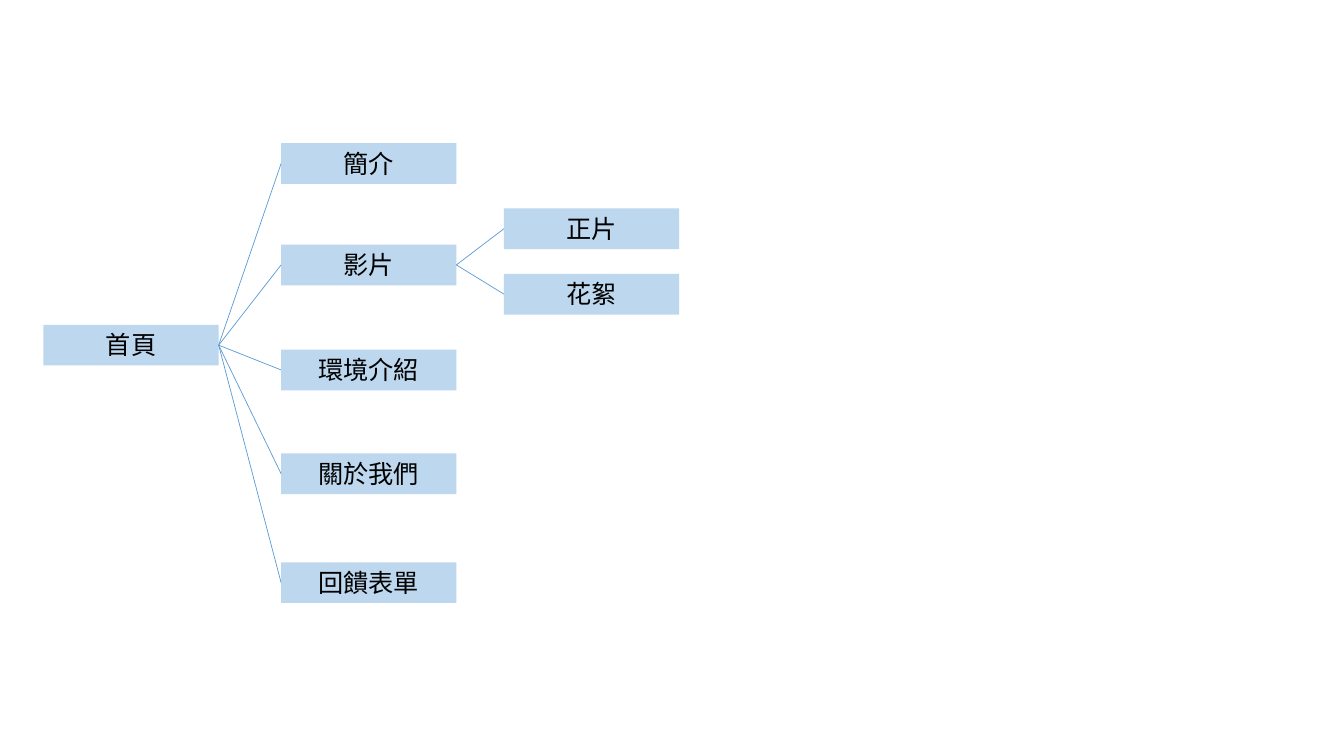
import pptx
import pptx.util
import pptx.dml.color
import pptx.enum.shapes
import pptx.enum.text
import pptx.oxml.ns
import lxml.etree

Pt = pptx.util.Pt

# Content: each column of the site map as (label, parent, top in points)
COLUMNS = [
    [("首頁", None, 232)],
    [
        ("簡介", "首頁", 102.3),
        ("影片", "首頁", 174.7),
        ("環境介紹", "首頁", 249.7),
        ("關於我們", "首頁", 323.8),
        ("回饋表單", "首頁", 401.6),
    ],
    [("正片", "影片", 148.8), ("花絮", "影片", 195.6)],
]
COLUMN_LEFTS = [31, 200.8, 360]
BOX_WIDTH, BOX_HEIGHT = 125.2, 29.1
RIGHT_SIDE, LEFT_SIDE = 3, 1

THEME = {
    "fill": pptx.dml.color.RGBColor.from_string("BDD7EE"),
    "line": pptx.dml.color.RGBColor.from_string("5B9BD5"),
    "text": pptx.dml.color.RGBColor.from_string("000000"),
    "font": "Noto Sans CJK SC",
    "size": Pt(18),
    "line_width": Pt(0.5),
}


def add_box(slide, label, left, top):
    box = slide.shapes.add_shape(
        pptx.enum.shapes.MSO_SHAPE.RECTANGLE,
        Pt(left), Pt(top), Pt(BOX_WIDTH), Pt(BOX_HEIGHT),
    )
    box.shadow.inherit = False
    box.fill.solid()
    box.fill.fore_color.rgb = THEME["fill"]
    box.line.fill.background()
    box.text_frame.vertical_anchor = pptx.enum.text.MSO_ANCHOR.TOP
    box.text_frame.word_wrap = True

    para = box.text_frame.paragraphs[0]
    para.text = label
    para.alignment = pptx.enum.text.PP_ALIGN.CENTER
    para.font.name = THEME["font"]
    para.font.size = THEME["size"]
    para.font.color.rgb = THEME["text"]
    # The East Asian typeface has its own element
    properties = para._p.pPr.find(pptx.oxml.ns.qn("a:defRPr"))
    east_asian = lxml.etree.SubElement(properties, pptx.oxml.ns.qn("a:ea"))
    east_asian.set("typeface", THEME["font"])
    return box


def join_boxes(slide, parent, child):
    connector = slide.shapes.add_connector(
        pptx.enum.shapes.MSO_CONNECTOR.STRAIGHT, 0, 0, 0, 0
    )
    connector.begin_connect(parent, RIGHT_SIDE)
    connector.end_connect(child, LEFT_SIDE)
    connector.line.color.rgb = THEME["line"]
    connector.line.width = THEME["line_width"]
    lxml.etree.SubElement(
        connector._element.spPr, pptx.oxml.ns.qn("a:effectLst")
    )


def main():
    deck = pptx.Presentation()
    deck.slide_width, deck.slide_height = Pt(960), Pt(540)
    page = deck.slides.add_slide(deck.slide_layouts[6])

    # Boxes, column by column, each joined to its parent
    boxes = {}
    for left, column in zip(COLUMN_LEFTS, COLUMNS):
        for label, parent, top in column:
            boxes[label] = add_box(page, label, left, top)
            if parent:
                join_boxes(page, boxes[parent], boxes[label])

    deck.save("out.pptx")


if __name__ == "__main__":
    main()
